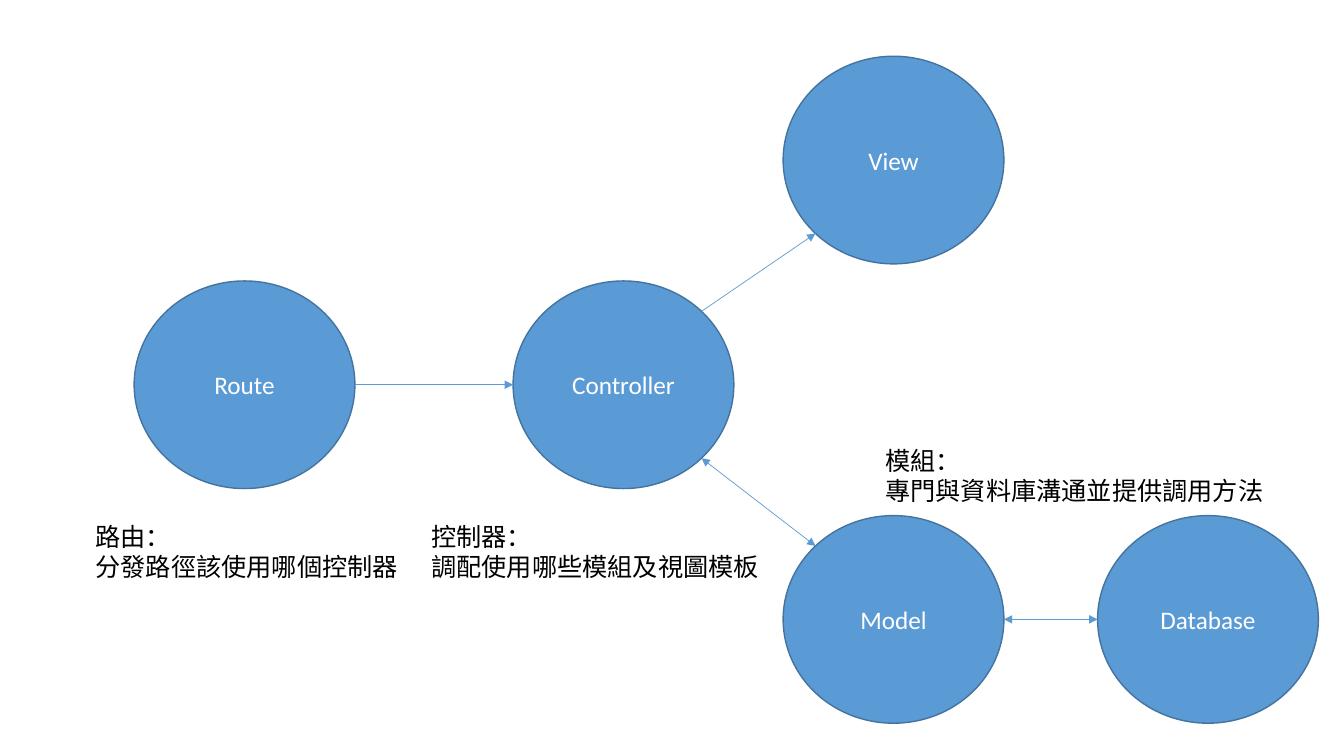
import math

import pptx
import pptx.dml.color
import pptx.enum.shapes
import pptx.enum.text
import pptx.oxml
import pptx.oxml.ns
import pptx.util

Pt = pptx.util.Pt
FONT, SIZE = "Calibri", 18
BLUE, DARK_BLUE, WHITE, BLACK = "5B9BD5", "43739E", "FFFFFF", "000000"
NODE_W, NODE_H = 157.7, 148.3

# Left and top of each circle, in points
NODES = {
    "Route": (95.8, 200.7),
    "Controller": (366.5, 200.7),
    "Model": (559.4, 368.3),
    "View": (559.4, 40.2),
    "Database": (784, 368.3),
}

# Start circle and angle, end circle and angle (clockwise degrees), two-way
ARROWS = [
    ("Route", 0, "Controller", 180, False),
    ("Controller", -45, "View", 135, False),
    ("Controller", 45, "Model", 225, True),
    ("Model", 0, "Database", 180, True),
]

# Left, top, width, lines
NOTES = [
    (61.2, 368.6, 232.6, ["路由：", "分發路徑該使用哪個控制器"]),
    (301, 368.6, 250.6, ["控制器：", "調配使用哪些模組及視圖模板"]),
    (625.2, 314.6, 287.3, ["模組：", "專門與資料庫溝通並提供調用方法"]),
]


def rgb(value):
    return pptx.dml.color.RGBColor.from_string(value)


def style_paragraph(p, color):
    p.font.name = FONT
    p.font.size = Pt(SIZE)
    p.font.color.rgb = rgb(color)


def add_node(s, name, left, top):
    sp = s.shapes.add_shape(pptx.enum.shapes.MSO_SHAPE.OVAL,
                            Pt(left), Pt(top), Pt(NODE_W), Pt(NODE_H))
    sp.shadow.inherit = False
    sp.fill.solid()
    sp.fill.fore_color.rgb = rgb(BLUE)
    sp.line.color.rgb = rgb(DARK_BLUE)
    sp.line.width = Pt(1)
    tf = sp.text_frame
    tf.vertical_anchor = pptx.enum.text.MSO_ANCHOR.MIDDLE
    p = tf.paragraphs[0]
    p.text = name
    p.alignment = pptx.enum.text.PP_ALIGN.CENTER
    style_paragraph(p, WHITE)


def edge_point(name, angle):
    """Point on the rim of a circle."""
    left, top = NODES[name]
    a = math.radians(angle)
    return (Pt(left + NODE_W / 2 * (1 + math.cos(a))),
            Pt(top + NODE_H / 2 * (1 + math.sin(a))))


def add_arrow(s, start, start_angle, end, end_angle, two_way):
    line = s.shapes.add_connector(pptx.enum.shapes.MSO_CONNECTOR.STRAIGHT,
                                  *edge_point(start, start_angle),
                                  *edge_point(end, end_angle))
    line.line.color.rgb = rgb(BLUE)
    line.line.width = Pt(0.5)
    # Arrowheads and no shadow
    sp_pr = line._element.spPr
    ln = sp_pr.find(pptx.oxml.ns.qn("a:ln"))
    for tag in ["headEnd", "tailEnd"] if two_way else ["tailEnd"]:
        ln.append(pptx.oxml.parse_xml(
            f'<a:{tag} {pptx.oxml.ns.nsdecls("a")} type="triangle"/>'))
    sp_pr.append(pptx.oxml.parse_xml(
        f'<a:effectLst {pptx.oxml.ns.nsdecls("a")}/>'))


def add_note(s, left, top, width, lines):
    tf = s.shapes.add_textbox(Pt(left), Pt(top), Pt(width), Pt(50.9)).text_frame
    tf.word_wrap = False
    tf.auto_size = pptx.enum.text.MSO_AUTO_SIZE.SHAPE_TO_FIT_TEXT
    tf.text = "\n".join(lines)
    for p in tf.paragraphs:
        style_paragraph(p, BLACK)


def main():
    prs = pptx.Presentation()
    prs.slide_width, prs.slide_height = Pt(960), Pt(540)
    s = prs.slides.add_slide(prs.slide_layouts[6])

    # Circles
    for name, (left, top) in NODES.items():
        add_node(s, name, left, top)
    # Arrows between them
    for arrow in ARROWS:
        add_arrow(s, *arrow)
    # Explanations
    for note in NOTES:
        add_note(s, *note)

    prs.save("out.pptx")


if __name__ == "__main__":
    main()
